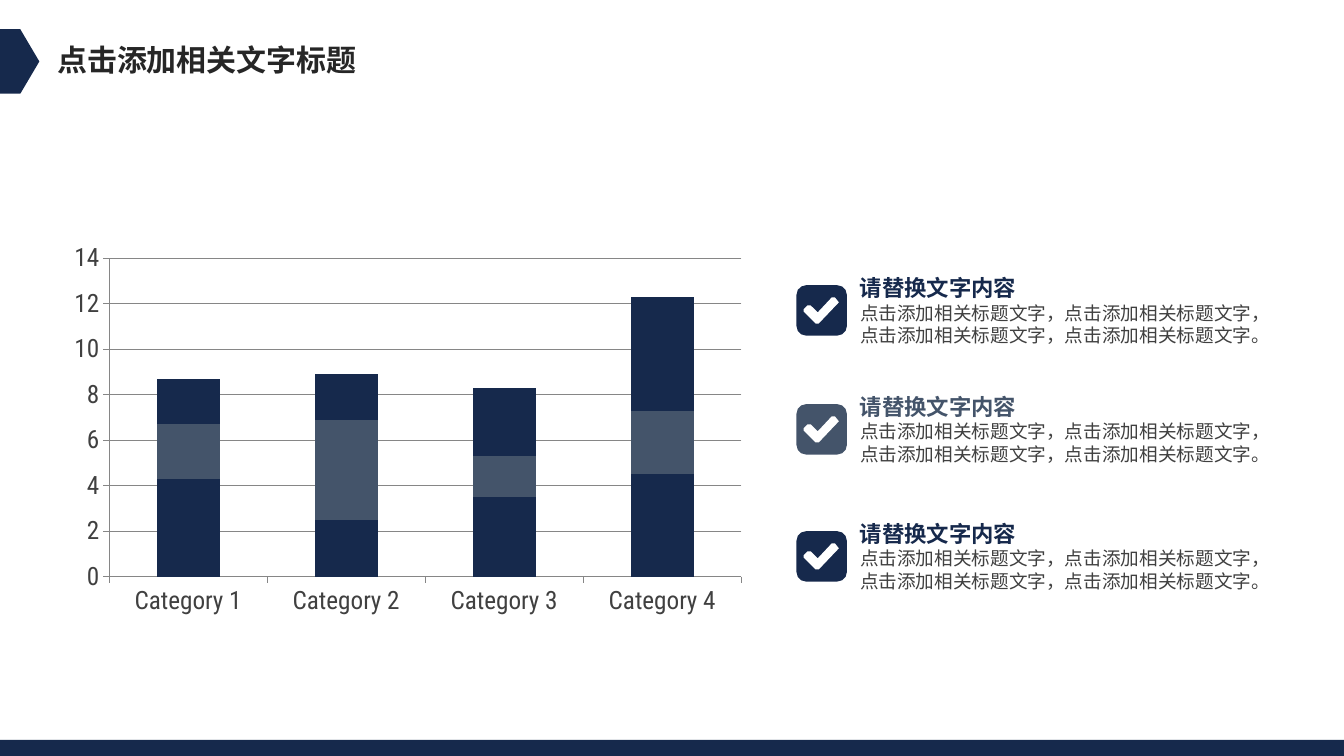
import pptx
import pptx.chart.data
import pptx.dml.color
import pptx.enum.chart
import pptx.enum.shapes
import pptx.enum.text
import pptx.util
from lxml import etree
from pptx.oxml.ns import qn

Inches = pptx.util.Inches
Pt = pptx.util.Pt
RGBColor = pptx.dml.color.RGBColor
SHAPE = pptx.enum.shapes.MSO_SHAPE

NAVY = RGBColor(0x16, 0x29, 0x4C)
SLATE = RGBColor(0x44, 0x54, 0x6A)
DARK = RGBColor(0x26, 0x26, 0x26)
BODY = RGBColor(0x40, 0x40, 0x40)
GRID = RGBColor(0x86, 0x86, 0x86)
WHITE = RGBColor(0xFF, 0xFF, 0xFF)
CJK_FONT = "Noto Sans CJK SC"
CHART_FONT = "Roboto Condensed"

ITEM_TITLE = "请替换文字内容"
ITEM_BODY = "点击添加相关标题文字，" * 3 + "点击添加相关标题文字。"

# Outline of the tick, in inches from the corner of its badge
TICK = [(0.42, 0.17), (0.38, 0.12), (0.35, 0.12), (0.21, 0.27), (0.14, 0.2),
        (0.11, 0.2), (0.07, 0.24), (0.07, 0.26), (0.19, 0.38), (0.22, 0.38)]


def paint(sp, color):
    sp.shadow.inherit = False
    sp.fill.solid()
    sp.fill.fore_color.rgb = color
    sp.line.fill.background()


def add_block(slide, kind, left, top, width, height, color, adj=None):
    sp = slide.shapes.add_shape(kind, Inches(left), Inches(top), Inches(width), Inches(height))
    paint(sp, color)
    if adj is not None:
        sp.adjustments[0] = adj


def add_text(slide, left, top, width, height, text, size, color,
             bold=False, wrap=False, inset=True):
    sp = slide.shapes.add_textbox(Inches(left), Inches(top), Inches(width), Inches(height))
    tf = sp.text_frame
    tf.word_wrap = wrap
    tf.auto_size = pptx.enum.text.MSO_AUTO_SIZE.SHAPE_TO_FIT_TEXT
    if not inset:
        tf.margin_left = tf.margin_top = tf.margin_right = tf.margin_bottom = 0
    r = tf.paragraphs[0].add_run()
    r.text = text
    r.font.size = Pt(size)
    r.font.bold = bold
    r.font.color.rgb = color
    r.font.name = CJK_FONT
    # East Asian glyphs take their own typeface
    etree.SubElement(r.font._element, qn("a:ea")).set("typeface", CJK_FONT)


def add_tick(slide, left, top):
    points = [(Inches(left + x), Inches(top + y)) for x, y in TICK]
    builder = slide.shapes.build_freeform(*points[0])
    builder.add_line_segments(points[1:], close=True)
    paint(builder.convert_to_shape(), WHITE)


def add_item(slide, top, color):
    add_block(slide, SHAPE.ROUNDED_RECTANGLE, 7.9, top + 0.11, 0.5, 0.5, color, 0.19)
    add_tick(slide, 7.9, top + 0.11)
    add_text(slide, 8.53, top, 1.57, 0.27, ITEM_TITLE, 16, color, bold=True, inset=False)
    add_text(slide, 8.53, top + 0.27, 4.01, 0.45, ITEM_BODY, 13.3, BODY, wrap=True, inset=False)


def add_stacked_chart(slide):
    data = pptx.chart.data.CategoryChartData()
    data.categories = [f"Category {n}" for n in range(1, 5)]
    data.add_series("Series 1", (4.3, 2.5, 3.5, 4.5))
    data.add_series("Series 2", (2.4, 4.4, 1.8, 2.8))
    data.add_series("Series 3", (2, 2, 3, 5))
    chart = slide.shapes.add_chart(
        pptx.enum.chart.XL_CHART_TYPE.COLUMN_STACKED,
        Inches(0.6), Inches(2.34), Inches(6.89), Inches(3.85), data).chart
    chart.has_title = False
    chart.has_legend = False
    chart.font.size = Pt(18)
    chart.font.name = CHART_FONT
    chart.font.color.rgb = BODY

    plot = chart.plots[0]
    plot.gap_width = 150
    plot.overlap = 100
    plot.vary_by_categories = False
    for series, color in zip(plot.series, (NAVY, SLATE, NAVY)):
        series.format.fill.solid()
        series.format.fill.fore_color.rgb = color

    chart.value_axis.has_major_gridlines = True
    lines = [chart.value_axis.major_gridlines.format.line]
    for axis in (chart.category_axis, chart.value_axis):
        axis.major_tick_mark = pptx.enum.chart.XL_TICK_MARK.OUTSIDE
        axis.minor_tick_mark = pptx.enum.chart.XL_TICK_MARK.NONE
        lines.append(axis.format.line)
    for line in lines:
        line.color.rgb = GRID
        line.width = Pt(0.75)


def main():
    prs = pptx.Presentation()
    prs.slide_width = Inches(13.33)
    prs.slide_height = Inches(7.5)
    slide = prs.slides.add_slide(prs.slide_layouts[6])

    # Chart
    add_stacked_chart(slide)

    # Checklist
    for top, color in ((2.72, NAVY), (3.9, SLATE), (5.16, NAVY)):
        add_item(slide, top, color)

    # Heading and footer bar
    add_block(slide, SHAPE.PENTAGON, 0, 0.29, 0.39, 0.64, NAVY, 0.484)
    add_text(slide, 0.47, 0.36, 3.2, 0.46, "点击添加相关文字标题", 21.4, DARK, bold=True)
    add_block(slide, SHAPE.RECTANGLE, 0, 7.34, 13.33, 0.16, NAVY)

    prs.save("out.pptx")


if __name__ == "__main__":
    main()
